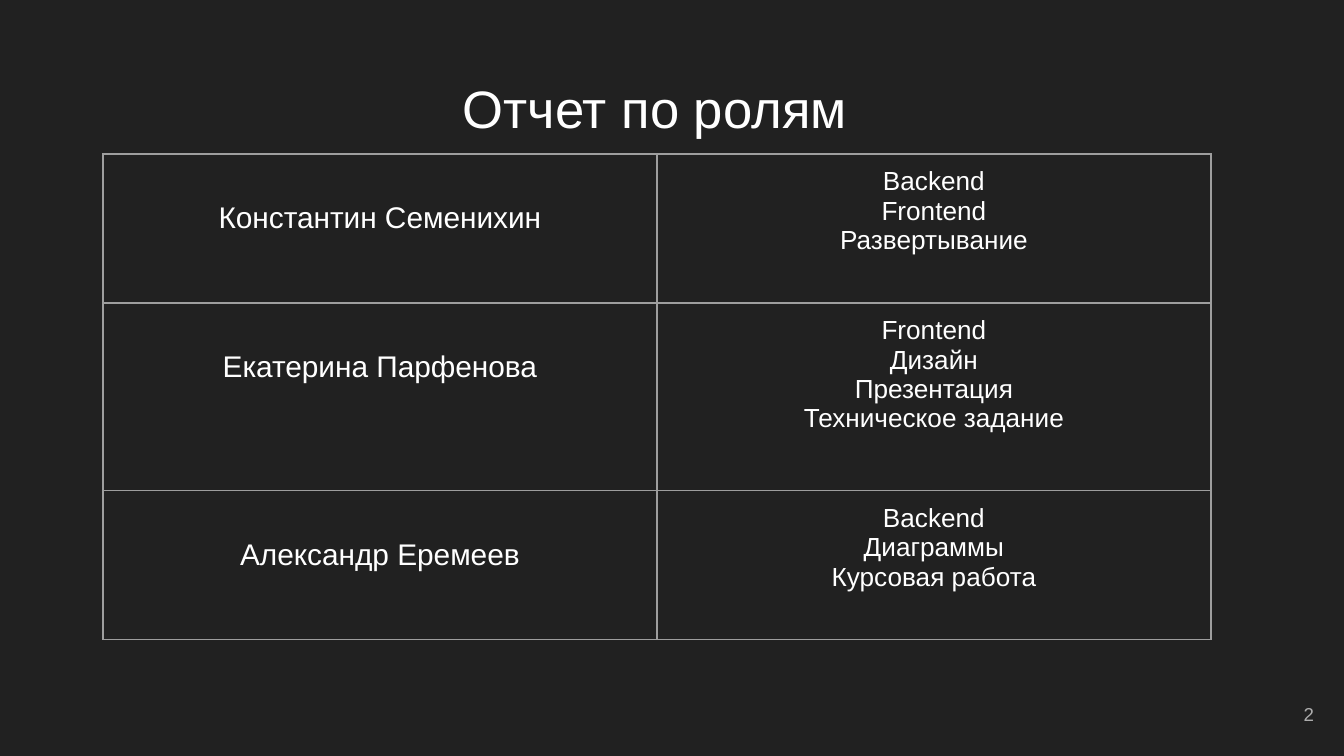
from dataclasses import dataclass

from lxml import etree
from pptx import Presentation
from pptx import util as u
from pptx.dml.color import RGBColor
from pptx.enum import text
from pptx.oxml import ns

EMU_PER_PX = 914400 / 134.4


@dataclass(frozen=True)
class Theme:
    """Colours, type sizes and line widths of the deck."""

    font: str = "Arial"
    ground: str = "212121"
    ink: str = "FFFFFF"
    muted: str = "ADADAD"
    rule: str = "9E9E9E"
    title_size: float = 28.2
    name_size: int = 16
    role_size: int = 14
    number_size: int = 10
    rule_width: float = 0.75
    inset: int = 13


THEME = Theme()

TEAM = [
    ("Константин Семенихин", ["Backend", "Frontend", "Развертывание"]),
    ("Екатерина Парфенова", ["Frontend", "Дизайн", "Презентация", "Техническое задание"]),
    ("Александр Еремеев", ["Backend", "Диаграммы", "Курсовая работа"]),
]


def px(length):
    """Turn pixels into EMU."""
    return u.Emu(round(length * EMU_PER_PX))


def set_insets(holder, top=THEME.inset, bottom=THEME.inset):
    """Set the inner margins of a text frame or cell."""
    holder.margin_left = holder.margin_right = px(THEME.inset)
    holder.margin_top, holder.margin_bottom = px(top), px(bottom)


def format_text(frame, size, colour, align):
    """Give every paragraph and run one look."""
    for para in frame.paragraphs:
        para.alignment = align
        for span in para.runs:
            span.font.name = THEME.font
            span.font.size = u.Pt(size)
            span.font.color.rgb = RGBColor.from_string(colour)


def add_label(page, box, words, size, colour, align, anchor, **insets):
    """Add a wrapped text box."""
    frame = page.shapes.add_textbox(*map(px, box)).text_frame
    frame.word_wrap = True
    frame.vertical_anchor = anchor
    set_insets(frame, **insets)
    frame.text = words
    format_text(frame, size, colour, align)


def add_borders(cell):
    """Draw a thin rule on all four sides of a cell."""
    properties = cell._tc.get_or_add_tcPr()
    for index, side in enumerate(("a:lnL", "a:lnR", "a:lnT", "a:lnB")):
        line = etree.Element(ns.qn(side), w=str(u.Pt(THEME.rule_width)))
        fill = etree.SubElement(line, ns.qn("a:solidFill"))
        etree.SubElement(fill, ns.qn("a:srgbClr"), val=THEME.rule)
        properties.insert(index, line)


def fill_cell(cell, words, size, top):
    """Write centred text into a clear, ruled cell."""
    cell.fill.background()
    add_borders(cell)
    set_insets(cell, top=top)
    cell.text_frame.text = words
    format_text(cell.text_frame, size, THEME.ink, text.PP_ALIGN.CENTER)


def add_team_table(page, box, team):
    """Add the table of people and roles, taller where roles are more."""
    left, top, width, height = box
    grid = page.shapes.add_table(len(team), 2, *map(px, box)).table
    grid.first_row = grid.horz_banding = False
    for column in grid.columns:
        column.width = px(width // 2)
    role_height = 39
    spare = (height - role_height * sum(len(roles) for _, roles in team)) // len(team)
    for row, (name, roles) in enumerate(team):
        grid.rows[row].height = px(role_height * len(roles) + spare)
        fill_cell(grid.cell(row, 0), name, THEME.name_size, top=48)
        fill_cell(grid.cell(row, 1), "\n".join(roles), THEME.role_size, top=THEME.inset)


def add_roles_page(deck):
    """Add the page that reports the roles."""
    page = deck.slides.add_slide(deck.slide_layouts[6])
    page.background.fill.solid()
    page.background.fill.fore_color.rgb = RGBColor.from_string(THEME.ground)
    add_label(page, (450, 56, 848, 85), "Отчет по ролям", THEME.title_size, THEME.ink,
              text.PP_ALIGN.LEFT, text.MSO_ANCHOR.TOP, top=20, bottom=5)
    add_team_table(page, (103, 154, 1108, 486), TEAM)
    add_label(page, (1246, 685, 81, 58), "2", THEME.number_size, THEME.muted,
              text.PP_ALIGN.RIGHT, text.MSO_ANCHOR.MIDDLE)


def main():
    """Build and save the deck."""
    deck = Presentation()
    deck.slide_width, deck.slide_height = px(1344), px(756)
    add_roles_page(deck)
    deck.save("out.pptx")


if __name__ == "__main__":
    main()
